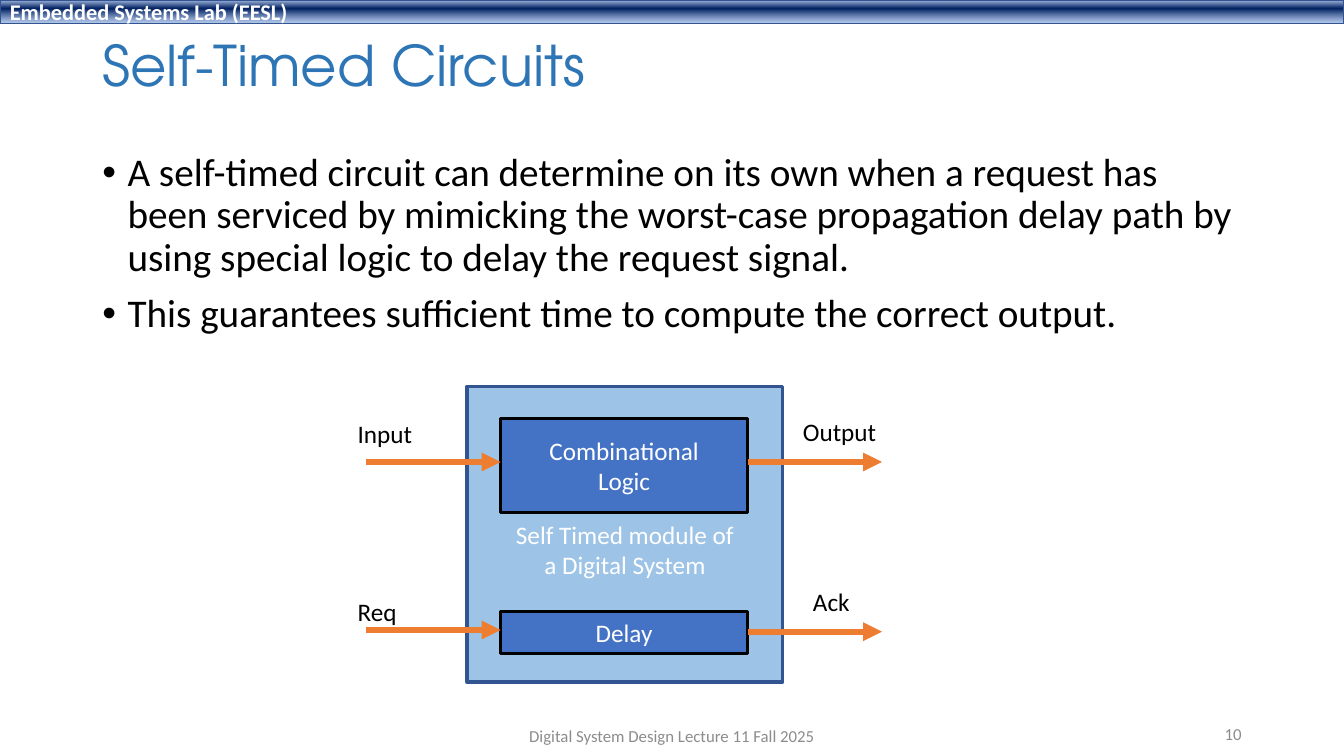
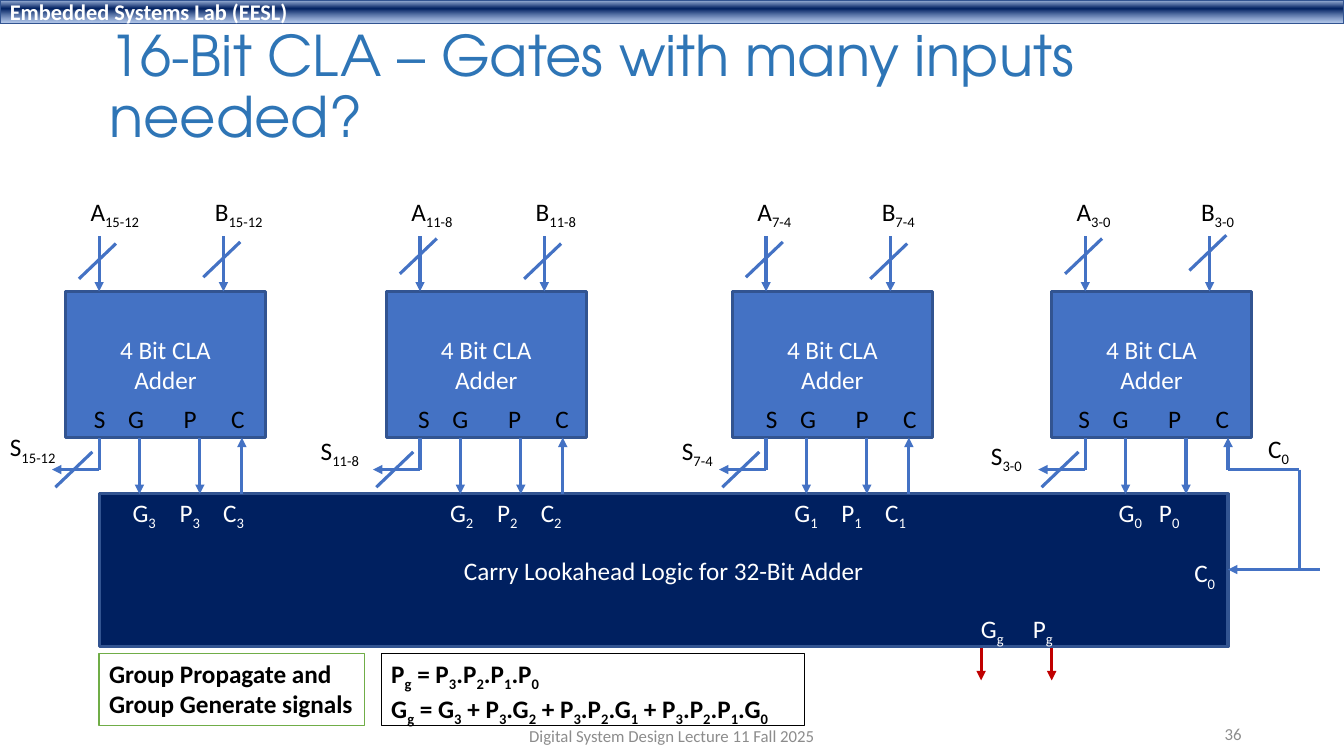
"""Build two lecture slides on self-timed circuits and the 16-bit carry lookahead adder."""
from dataclasses import dataclass

from lxml.etree import SubElement
from pptx import Presentation
from pptx.dml.color import RGBColor
from pptx.enum.shapes import MSO_CONNECTOR, MSO_SHAPE
from pptx.enum.text import MSO_ANCHOR, MSO_AUTO_SIZE, PP_ALIGN
from pptx.oxml.ns import qn
from pptx.util import Inches, Pt


@dataclass(frozen=True)
class Theme:
    heading_font: str = "TeX Gyre Adventor"
    text_font: str = "Calibri"
    title_size: int = 40
    body_size: int = 28
    label_size: int = 18
    band_size: int = 16
    footer_size: int = 12
    title: str = "2E75B6"
    black: str = "000000"
    white: str = "FFFFFF"
    gray: str = "8C8C8C"
    blue: str = "4472C4"
    pale_blue: str = "9DC3E6"
    navy: str = "002060"
    outline: str = "325491"
    orange: str = "ED7D31"
    red: str = "C00000"
    green: str = "70AD47"
    band_stops: tuple = ((2, "ABC0E4", 100), (38, "002060", 100), (93, "7E9ED6", 64))


theme = Theme()
COLUMNS, ROWS = 80, 45
deck = Presentation()
deck.slide_width, deck.slide_height = Inches(13.333), Inches(7.5)
column, row = deck.slide_width / COLUMNS, deck.slide_height / ROWS


def add_box(slide, place, lines, color=theme.black, fill=None, outline=None, weight=2.25,
            size=theme.label_size, bold=False, align=PP_ALIGN.LEFT, anchor=MSO_ANCHOR.TOP):
    """Add a text box, or a rectangle if filled; text between underscores is subscript."""
    left, top, width, height = place
    frame = (int(left * column), int(top * row), int(width * column), int(height * row))
    if fill:
        box = slide.shapes.add_shape(MSO_SHAPE.RECTANGLE, *frame)
        box.shadow.inherit = False
        box.fill.solid()
        box.fill.fore_color.rgb = RGBColor.from_string(fill)
        box.line.color.rgb = RGBColor.from_string(outline)
        box.line.width = Pt(weight)
    else:
        box = slide.shapes.add_textbox(*frame)
    text_frame = box.text_frame
    text_frame.word_wrap = True
    text_frame.vertical_anchor = anchor
    for index, line in enumerate(lines):
        para = text_frame.add_paragraph() if index else text_frame.paragraphs[0]
        para.alignment = align
        for part, text in enumerate(line.split("_")):
            if not text:
                continue
            span = para.add_run()
            span.text = text
            span.font.name = theme.text_font
            span.font.size = Pt(size)
            span.font.bold = bold
            span.font.color.rgb = RGBColor.from_string(color)
            if part % 2:
                span._r.get_or_add_rPr().set("baseline", "-25000")
    return box


def add_line(slide, start, end, color=theme.blue, weight=2.25, arrow=True):
    """Add a straight connector between two grid points."""
    line = slide.shapes.add_connector(
        MSO_CONNECTOR.STRAIGHT, int(start[0] * column), int(start[1] * row),
        int(end[0] * column), int(end[1] * row))
    line.line.color.rgb = RGBColor.from_string(color)
    line.line.width = Pt(weight)
    if arrow:
        SubElement(line.line._get_or_add_ln(), qn("a:tailEnd"), type="triangle")
    SubElement(line.element.spPr, qn("a:effectLst"))


centered = {"align": PP_ALIGN.CENTER, "anchor": MSO_ANCHOR.MIDDLE}
slides = []
for heading, number, place in (
    ("Self-Timed Circuits", "10", (5.5, 1.8, 69, 4.6)),
    ("16-Bit CLA – Gates with many inputs needed?", "36", (5.9, 1.3, 69, 8)),
):
    slide = deck.slides.add_slide(deck.slide_layouts[5])
    slides.append(slide)
    title = slide.shapes.title
    title.left, title.width = int(place[0] * column), int(place[2] * column)
    title.top, title.height = int(place[1] * row), int(place[3] * row)
    title.text_frame.text = heading
    title.text_frame.auto_size = MSO_AUTO_SIZE.NONE
    title.text_frame.vertical_anchor = MSO_ANCHOR.MIDDLE
    para = title.text_frame.paragraphs[0]
    para.alignment = PP_ALIGN.LEFT
    para.line_spacing = 0.9
    para.font.name = theme.heading_font
    para.font.size = Pt(theme.title_size)
    para.font.color.rgb = RGBColor.from_string(theme.title)
    add_box(slide, (26.5, 42.6, 27, 2.4), ["Digital System Design Lecture 11 Fall 2025"],
            theme.gray, size=theme.footer_size, **centered)
    add_box(slide, (56.5, 42.5, 18, 2.4), [number], theme.gray, size=theme.footer_size,
            align=PP_ALIGN.RIGHT, anchor=MSO_ANCHOR.MIDDLE)

timed, adder = slides

band = add_box(timed, (0, 0, COLUMNS, 1.4), ["Embedded Systems Lab (EESL)"], theme.white,
               theme.navy, theme.outline, 1, theme.band_size, True, anchor=MSO_ANCHOR.MIDDLE)
band.fill.gradient()
band.fill.gradient_angle = 270
stop_list = band.element.spPr.find(qn("a:gradFill")).find(qn("a:gsLst"))
for stop in list(stop_list):
    stop_list.remove(stop)
for position, color, opacity in theme.band_stops:
    stop = SubElement(stop_list, qn("a:gs"), pos=str(position * 1000))
    shade = SubElement(stop, qn("a:srgbClr"), val=color)
    SubElement(shade, qn("a:alpha"), val=str(opacity * 1000))
band.element.nvSpPr.cNvPr.id = 20
deck.slide_master.shapes.element.append(band.element)

body = add_box(timed, (5.5, 8.8, 69, 12.1), [
    "A self-timed circuit can determine on its own when a request has been serviced by "
    "mimicking the worst-case propagation delay path by using special logic to delay the "
    "request signal.",
    "This guarantees sufficient time to compute the correct output.",
], size=theme.body_size)
for index, para in enumerate(body.text_frame.paragraphs):
    properties = para._p.get_or_add_pPr()
    properties.set("marL", str(Inches(0.25)))
    properties.set("indent", str(-Inches(0.25)))
    SubElement(properties, qn("a:buFont"), typeface="Arial")
    SubElement(properties, qn("a:buChar"), char="•")
    para.line_spacing = 0.9
    if index:
        para.space_before = Pt(10)

module = add_box(timed, (27.8, 23, 18.8, 17.6), ["Self Timed module of", "a Digital System"],
                 theme.white, theme.pale_blue, theme.outline, **centered)
module.text_frame.margin_top = Inches(0.35)
for top, height, lines in ((24.9, 5.6, ["Combinational", "Logic"]), (36.4, 2.5, ["Delay"])):
    add_box(timed, (29.8, top, 14.7, height), lines, theme.white, theme.blue, theme.black,
            **centered)
for left, level, text, text_left, text_top in (
    (21.8, 27.5, "Input", 20.7, 24.6),
    (21.8, 37.5, "Req", 20.7, 35.2),
    (44.5, 27.5, "Output", 47.2, 24.5),
    (44.5, 37.6, "Ack", 47.8, 34.6),
):
    add_line(timed, (left, level), (left + 8, level), theme.orange, 4.5)
    add_box(timed, (text_left, text_top, 5.7, 2.4), [text])

label_size = (4.8, 2.4)
adder_top, adder_width, adder_height = 17.35, 11.9, 8.7
adder_bottom = adder_top + adder_height
input_top, sum_level, carry_top, carry_right = 14.05, 27.95, 29.4, 73.1
add_box(adder, (5.9, carry_top, carry_right - 5.9, 9.1),
        ["Carry Lookahead Logic for 32-Bit Adder"],
        theme.white, theme.navy, theme.outline, **centered)
for group, left, bits, slash_rows, sum_place, pins_left, carry_left, carry_offsets in (
    (3, 3.9, "15-12", (16.6, 16.5), (0, 25.4), 5, 7.3, (0, 2.8, 5.4)),
    (2, 23, "11-8", (16.3, 16.6), (18.5, 25.6), 24.3, 26.2, (0, 2.8, 5.4)),
    (1, 43.6, "7-4", (16.5, 16.6), (40, 25.6), 45, 46.7, (0, 2.8, 5.4)),
    (0, 62.6, "3-0", (16.3, 16.1), (58.4, 25.9), 63.6, 66, (0, 2.4)),
):
    add_box(adder, (left, adder_top, adder_width, adder_height), ["4 Bit CLA", "Adder"],
            theme.white, theme.blue, theme.outline, **centered)
    slashes = [(left - 0.6, 29)]
    for operand, offset, slash_row in zip("AB", (2, 9.4), slash_rows):
        add_line(adder, (left + offset, input_top), (left + offset, adder_top))
        add_box(adder, (left + offset - 1.1, 11.4, *label_size), [f"{operand}_{bits}_"])
        slashes.append((left + offset - 1.2, slash_row))
    for slash_left, slash_row in slashes:
        add_line(adder, (slash_left, slash_row), (slash_left + 2.2, slash_row - 2.1),
                 arrow=False)
    for offset in (4.4, 8):
        add_line(adder, (left + offset, adder_bottom), (left + offset, carry_top))
    add_line(adder, (left + 10.5, carry_top if group else sum_level),
             (left + 10.5, adder_bottom))
    add_line(adder, (left + 2, adder_bottom), (left + 2, sum_level), arrow=False)
    add_line(adder, (left + 2, sum_level), (left - 0.8, sum_level))
    add_box(adder, (*sum_place, *label_size), [f"S_{bits}_"])
    for pin, offset in zip("SGPC", (0, 2.04, 5.35, 8.17)):
        add_box(adder, (pins_left + offset, 23.7, *label_size), [pin])
    for signal, offset in zip("GPC", carry_offsets):
        add_box(adder, (carry_left + offset, 29.3, *label_size), [f"{signal}_{group}_"],
                theme.white)

carry_turn, carry_level = 77.35, 33.9
add_line(adder, (carry_right, sum_level), (carry_turn, sum_level), arrow=False)
add_line(adder, (carry_turn, sum_level), (carry_turn, carry_level), arrow=False)
add_line(adder, (78.55, carry_level), (carry_right, carry_level))
add_box(adder, (74.9, 25.5, *label_size), ["C_0_"])
add_box(adder, (70.5, 32.9, *label_size), ["C_0_"], theme.white)

for signal, text_left, arrow_left in (("G", 57.8, 58.4), ("P", 60.9, 62.6)):
    add_box(adder, (text_left, 36.2, *label_size), [f"{signal}_g_"], theme.white)
    add_line(adder, (arrow_left, 38.6), (arrow_left, 40.5), theme.red)

for left, width, outline, lines in (
    (22.7, 25.2, theme.black, [
        "P_g_ = P_3_.P_2_.P_1_.P_0_",
        "G_g_ = G_3_ + P_3_.G_2_ + P_3_.P_2_.G_1_ + P_3_.P_2_.P_1_.G_0_"]),
    (5.9, 15.8, theme.green, ["Group Propagate and", "Group Generate signals"]),
):
    note = add_box(adder, (left, 38.9, width, 4.3), lines, fill=theme.white, outline=outline,
                   weight=1, bold=True)
    note.text_frame.margin_right = 0

deck.save("out.pptx")
